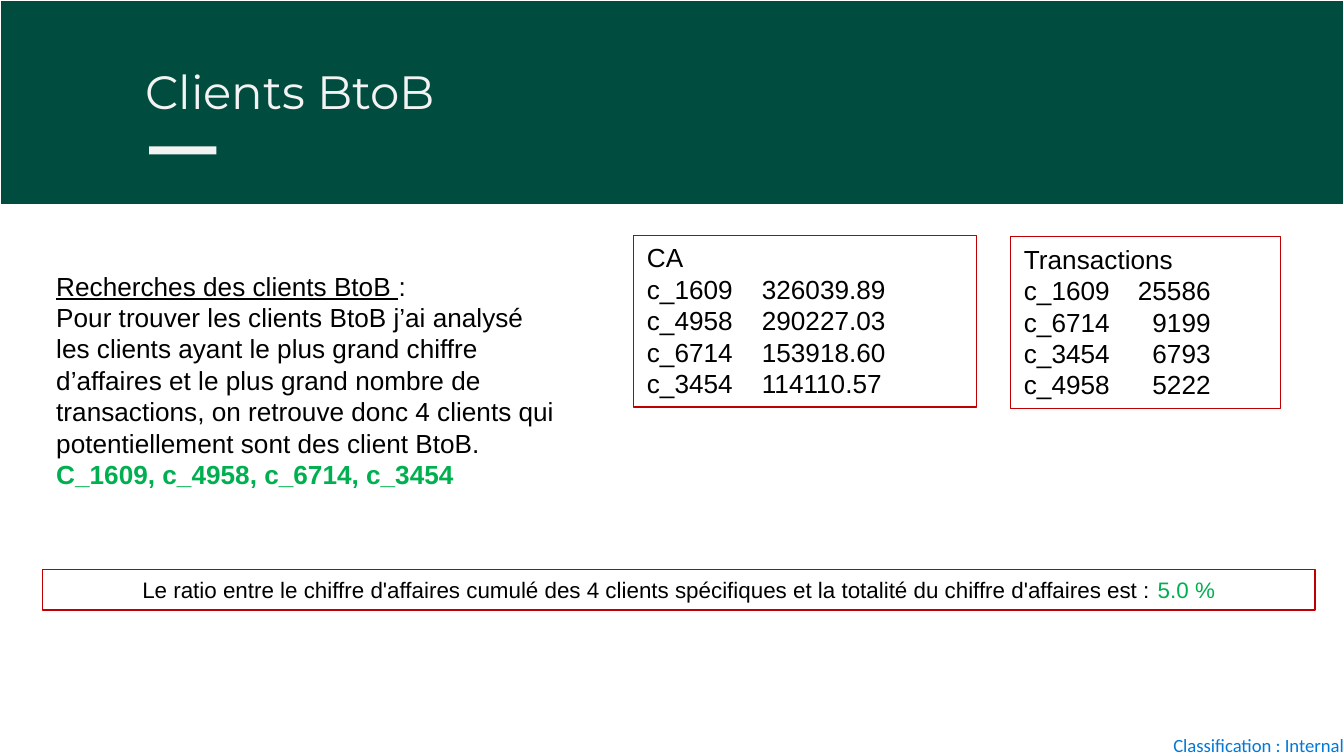
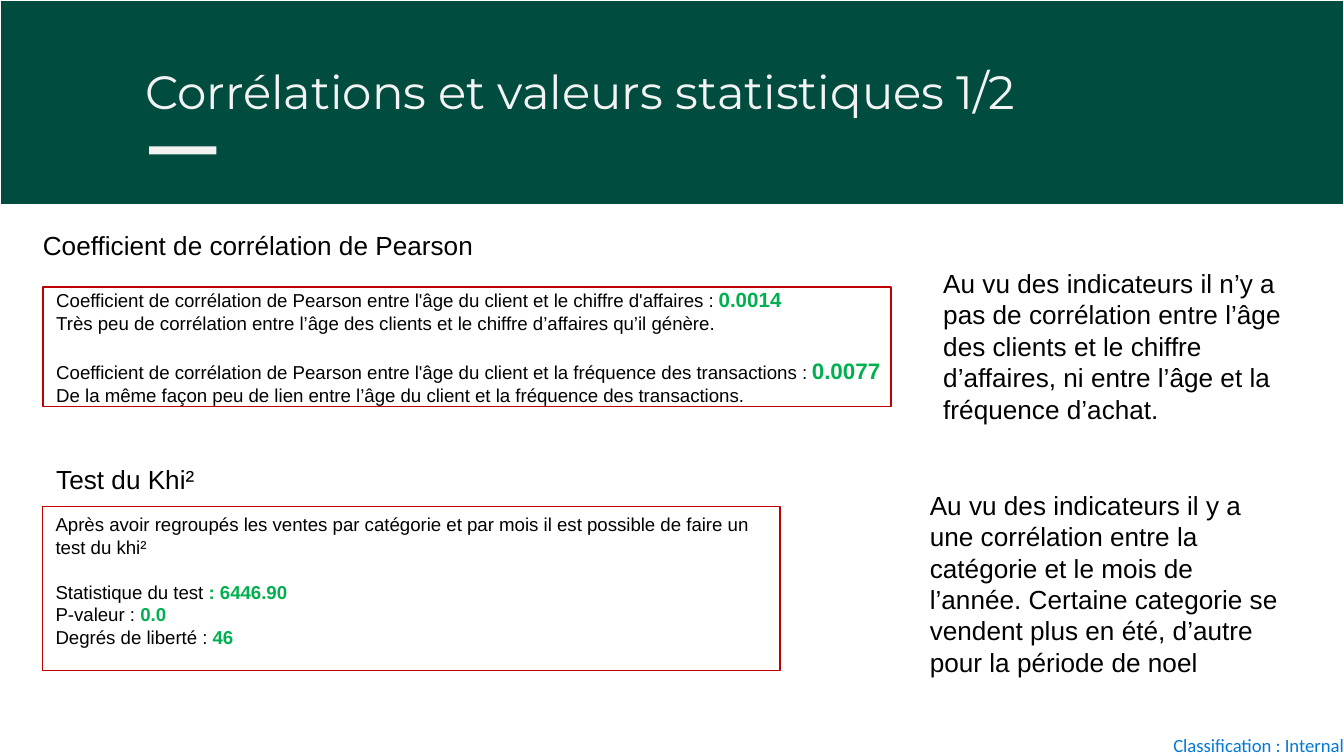
import collections

import pptx
import pptx.dml.color
import pptx.enum.shapes
import pptx.enum.text
import pptx.oxml
import pptx.oxml.ns
import pptx.util

RGBColor = pptx.dml.color.RGBColor
ANCHOR = pptx.enum.text.MSO_ANCHOR
ALIGN = pptx.enum.text.PP_ALIGN
RECT = pptx.enum.shapes.MSO_SHAPE.RECTANGLE

DARK_GREEN = RGBColor(0x00, 0x4D, 0x40)
OFF_WHITE = RGBColor(0xF3, 0xF3, 0xF3)
WHITE = RGBColor(0xFF, 0xFF, 0xFF)
BLACK = RGBColor(0x00, 0x00, 0x00)
RED = RGBColor(0xC0, 0x00, 0x00)
VALUE_GREEN = RGBColor(0x00, 0xB0, 0x50)
FOOTER_BLUE = RGBColor(0x00, 0x78, 0xD7)

COLS, ROWS = 100, 56.25
CELL = pptx.util.Inches(0.1)
BLANK_LINE = 12

Run = collections.namedtuple(
    "Run", "text size color bold underline", defaults=(None, None, False, False))
Para = collections.namedtuple("Para", "runs before", defaults=(0,))


def cells(*lengths):
    return [round(n * CELL) for n in lengths]


def style_font(font, name, size, color, bold=False, underline=False):
    font.name = name
    font.size = pptx.util.Pt(size)
    font.color.rgb = color
    font.bold = bold
    font.underline = underline


def set_insets(tf, x, y):
    tf.margin_left = tf.margin_right = round(x * CELL)
    tf.margin_top = tf.margin_bottom = round(y * CELL)


def write(sp, paras, size, align=ALIGN.LEFT, anchor=ANCHOR.TOP, font="Arial", color=BLACK):
    tf = sp.text_frame
    tf.word_wrap = True
    tf.vertical_anchor = anchor
    for i, para in enumerate(paras):
        if isinstance(para, str):
            para = Para([Run(para)])
        p = tf.paragraphs[0] if i == 0 else tf.add_paragraph()
        p.alignment = align
        p.space_before = pptx.util.Pt(para.before)
        for run in para.runs:
            r = p.add_run()
            r.text = run.text
            style_font(r.font, font, run.size or size, run.color or color,
                       run.bold, run.underline)


def add_rect(s, place, fill=None, line=None):
    sp = s.shapes.add_shape(RECT, *cells(*place))
    sp.shadow.inherit = False
    if fill is None:
        sp.fill.background()
    else:
        sp.fill.solid()
        sp.fill.fore_color.rgb = fill
    if line is None:
        sp.line.fill.background()
    else:
        sp.line.color.rgb = line
        sp.line.width = pptx.util.Pt(0.75)
    return sp


def add_text(s, place, paras, size=14):
    sp = s.shapes.add_textbox(*cells(*place))
    write(sp, paras, size)
    return sp


def add_red_box(s, place, paras, size, fill=None, **options):
    sp = add_rect(s, place, fill, RED)
    write(sp, paras, size, **options)
    return sp


def add_figures(s, place, heading, rows, stop, align):
    sp = add_red_box(s, place, [heading] + ["\t".join(row) for row in rows], 14)
    for p in sp.text_frame.paragraphs[1:]:
        tabs = pptx.oxml.parse_xml(
            f'<a:tabLst {pptx.oxml.ns.nsdecls("a")}>'
            f'<a:tab pos="{round(stop * CELL)}" algn="{align}"/></a:tabLst>')
        p._p.get_or_add_pPr().append(tabs)


def add_titled_slide(prs, title):
    s = prs.slides.add_slide(prs.slide_layouts[5])
    band = add_rect(s, (0, 0, COLS, 15.2), DARK_GREEN, WHITE)
    sp = s.shapes.title
    band.element.addnext(sp.element)
    sp.left, sp.top, sp.width, sp.height = cells(9.8, 3.7, 93.2, 6.3)
    tf = sp.text_frame
    tf.text = title
    tf.auto_size = pptx.enum.text.MSO_AUTO_SIZE.NONE
    tf.vertical_anchor = ANCHOR.TOP
    set_insets(tf, 1, 1)
    p = tf.paragraphs[0]
    p.alignment = ALIGN.LEFT
    style_font(p.runs[0].font, "Montserrat", 25, OFF_WHITE)
    add_rect(s, (11.1, 10.9, 5, 0.6), OFF_WHITE)
    return s


def add_footer(s):
    sp = s.shapes.add_textbox(*cells(87.3, 54.6, 13.1, 1.7))
    set_insets(sp.text_frame, 0, 0)
    write(sp, ["Classification : Internal"], 10, font="Calibri", color=FOOTER_BLUE)
    sp.element.xpath("./p:nvSpPr/p:cNvPr")[0].set("id", "20")
    s.slide_layout.shapes.element.append(sp.element)


def value(text, size=None):
    return Run(text, size, VALUE_GREEN, True)


def add_clients_slide(prs):
    s = add_titled_slide(prs, "Clients BtoB")
    add_text(s, (3.2, 19.6, 39.2, 17.5), [
        Para([Run("Recherches des clients BtoB ", underline=True), Run(":")]),
        "Pour trouver les clients BtoB j’ai analysé les clients ayant le plus grand "
        "chiffre d’affaires et le plus grand nombre de transactions, on retrouve donc "
        "4 clients qui potentiellement sont des client BtoB.",
        Para([value("C_1609, c_4958, c_6714, c_3454")]),
    ])
    add_figures(s, (47.15, 17.5, 25.5, 12.8), "CA", [
        ("c_1609", "326039.89"), ("c_4958", "290227.03"),
        ("c_6714", "153918.60"), ("c_3454", "114110.57")], 8.55, "l")
    add_figures(s, (75.2, 17.6, 20.1, 12.8), "Transactions", [
        ("c_1609", "25586"), ("c_6714", "9199"),
        ("c_3454", "6793"), ("c_4958", "5222")], 13.9, "r")
    add_red_box(s, (3.15, 42.4, 94.7, 3), [Para([
        Run("Le ratio entre le chiffre d'affaires cumulé des 4 clients spécifiques "
            "et la totalité du chiffre d'affaires est : "),
        Run("5.0 %", color=VALUE_GREEN)])], 12, align=ALIGN.CENTER)
    return s


def add_correlations_slide(prs):
    s = add_titled_slide(prs, "Corrélations et valeurs statistiques 1/2")
    pearson = "Coefficient de corrélation de Pearson"
    box = add_red_box(s, (3.2, 21.35, 63.1, 8.9), [
        Para([Run(f"{pearson} entre l'âge du client et le chiffre d'affaires : "),
              value("0.0014", 11)]),
        "Très peu de corrélation entre l’âge des clients et le chiffre d’affaires "
        "qu’il génère.",
        Para([Run(f"{pearson} entre l'âge du client et la fréquence des transactions : "),
              value("0.0077", 12)], BLANK_LINE),
        "De la même façon peu de lien entre l’âge du client et la fréquence des "
        "transactions.",
    ], 10, fill=WHITE, anchor=ANCHOR.MIDDLE)
    set_insets(box.text_frame, 1, 0)
    box.text_frame.margin_right = 0
    add_text(s, (2.2, 16.6, 34.2, 3.4), [pearson])
    add_text(s, (69.2, 19.4, 28.6, 12.8), [
        "Au vu des indicateurs il n’y a pas de corrélation entre l’âge des clients et "
        "le chiffre d’affaires, ni entre l’âge et la fréquence d’achat."])
    add_text(s, (3.2, 34, 12.6, 3.4), ["Test du Khi²"])
    add_red_box(s, (3.15, 37.7, 54.9, 12.2), [
        "Après avoir regroupés les ventes par catégorie et par mois il est possible "
        "de faire un test du khi²",
        Para([Run("Statistique du test "), value(": 6446.90")], BLANK_LINE),
        Para([Run("P-valeur : "), value("0.0")]),
        Para([Run("Degrés de liberté : "), value("46")]),
    ], 10)
    add_text(s, (68.2, 35.9, 28.6, 15.1), [
        "Au vu des indicateurs il y a une corrélation entre la catégorie et le mois de "
        "l’année. Certaine categorie se vendent plus en été, d’autre pour la période "
        "de noel"])


def main():
    prs = pptx.Presentation()
    prs.slide_width, prs.slide_height = cells(COLS, ROWS)
    add_footer(add_clients_slide(prs))
    add_correlations_slide(prs)
    prs.save("out.pptx")


if __name__ == "__main__":
    main()
